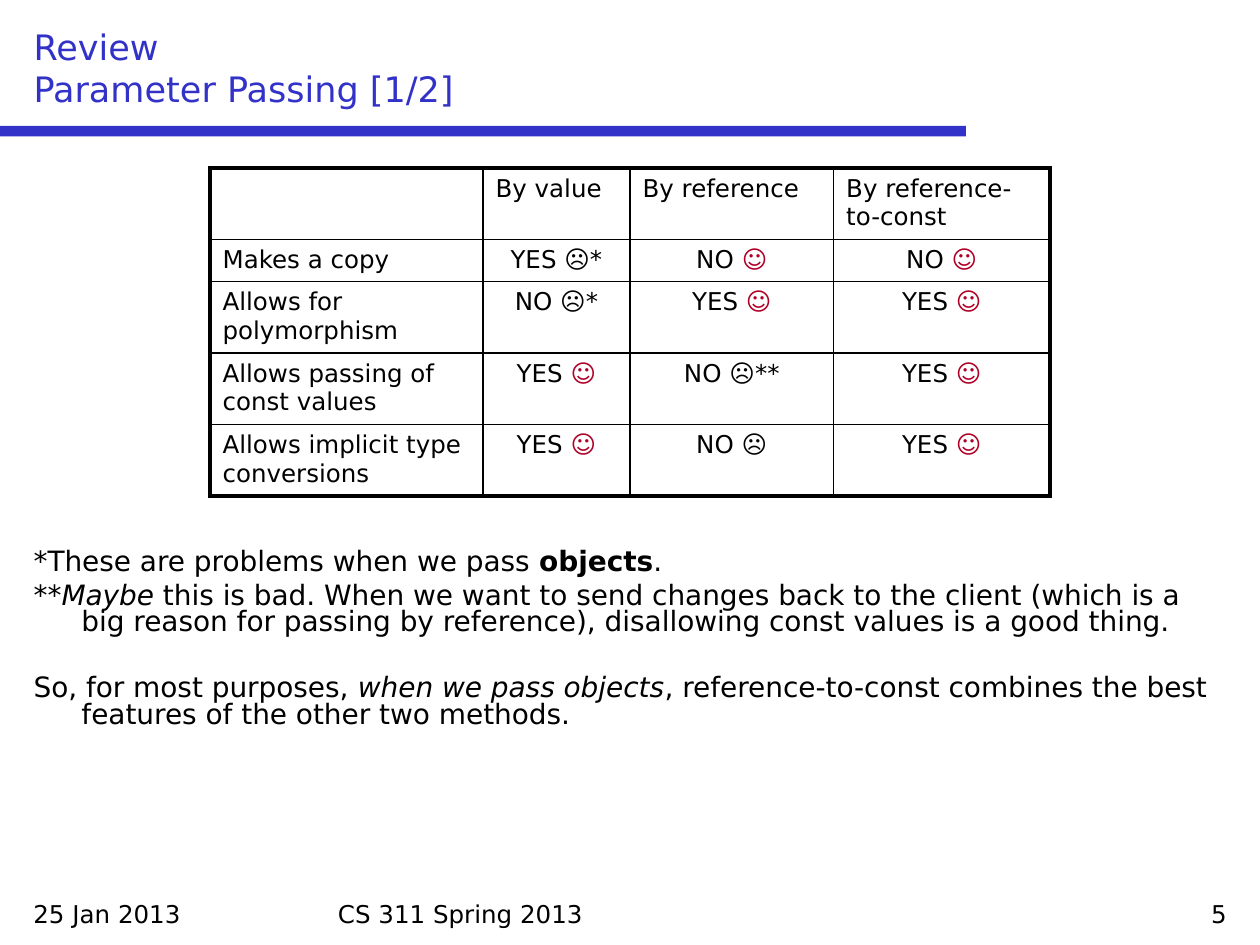
from lxml import etree
from pptx import Presentation
from pptx import util as u
from pptx.dml.color import RGBColor
from pptx.enum import shapes, text
from pptx.oxml import ns

BLACK = RGBColor(0x00, 0x00, 0x00)
BLUE = RGBColor(0x32, 0x32, 0xC8)
RED = RGBColor(0xAF, 0x00, 0x28)
FONT = "DejaVu Sans"
ALIGN = text.PP_ALIGN

deck = Presentation()
deck.slide_width, deck.slide_height = u.Inches(10), u.Inches(7.5)
UNIT = deck.slide_width / 60  # the slide is a grid of 60 columns and 45 rows
slide = deck.slides.add_slide(deck.slide_layouts[1])


def grid(*units):
    return [round(n * UNIT) for n in units]


def write(paragraph, content, size, color=BLACK, **style):
    run = paragraph.add_run()
    run.text = content
    formats = {"name": FONT, "size": u.Pt(size), "bold": False, "italic": False, **style}
    for key, value in formats.items():
        setattr(run.font, key, value)
    run.font.color.rgb = color


# Rule under the title
rule = slide.shapes.add_shape(shapes.MSO_SHAPE.RECTANGLE, *grid(0, 6, 46, 0.5))
rule.shadow.inherit = False
rule.fill.solid()
rule.fill.fore_color.rgb = BLUE
rule.line.fill.background()

# Footer: date, course, slide number
for left, width, content, align in [
    (1, 14, "25 Jan 2013", ALIGN.LEFT),
    (15.5, 29, "CS 311 Spring 2013", ALIGN.LEFT),
    (45, 14, "5", ALIGN.RIGHT),
]:
    footer = slide.shapes.add_textbox(*grid(left, 42.5, width, 2)).text_frame
    footer.word_wrap = True
    footer.paragraphs[0].alignment = align
    write(footer.paragraphs[0], content, 14)

# Title and body placeholders
title, notes = slide.shapes.title, slide.placeholders[1]
for holder, box, anchor in [
    (title, (1, 1, 58, 4.5), text.MSO_ANCHOR.BOTTOM),
    (notes, (1, 25.9, 58, 16.1), text.MSO_ANCHOR.TOP),
]:
    holder.left, holder.top, holder.width, holder.height = grid(*box)
    holder.text_frame.auto_size = text.MSO_AUTO_SIZE.NONE
    holder.text_frame.vertical_anchor = anchor

heading = title.text_frame.paragraphs[0]
heading.alignment = ALIGN.LEFT
for line_number, line in enumerate(["Review", "Parameter Passing [1/2]"]):
    if line_number:
        heading.add_line_break()
    write(heading, line, 20, BLUE)

# Remarks: space before in points, then runs with their style
remarks = [
    (0, [("*These are problems when we pass ", {}), ("objects", {"bold": True}), (".", {})]),
    (3.7, [
        ("**", {}),
        ("Maybe", {"italic": True}),
        (" this is bad. When we want to send changes back to the client (which is a big "
         "reason for passing by reference), disallowing const values is a good thing.", {}),
    ]),
    (22.3, [
        ("So, for most purposes, ", {}),
        ("when we pass objects", {"italic": True}),
        (", reference-to-const combines the best features of the other two methods.", {}),
    ]),
]
for number, (gap, runs) in enumerate(remarks):
    frame = notes.text_frame
    remark = frame.add_paragraph() if number else frame.paragraphs[0]
    remark.line_spacing = 0.8
    remark.space_before = u.Pt(gap)
    props = remark._p.get_or_add_pPr()
    props.set("marL", str(u.Inches(0.38)))
    props.set("indent", str(-u.Inches(0.38)))
    etree.SubElement(props, ns.qn("a:buNone"))
    for content, style in runs:
        write(remark, content, 16, **style)

# Comparison table
comparison = [
    ["", "By value", "By reference", "By reference-to-const"],
    ["Makes a copy", "YES ☹*", "NO ☺", "NO ☺"],
    ["Allows for polymorphism", "NO ☹*", "YES ☺", "YES ☺"],
    ["Allows passing of const values", "YES ☺", "NO ☹**", "YES ☺"],
    ["Allows implicit type conversions", "YES ☺", "NO ☹", "YES ☺"],
]
column_units = [13, 7, 9.7, 10.3]
row_units = [3.4, 2, 3.4, 3.4, 3.4]
last_row, last_col = len(row_units) - 1, len(column_units) - 1
table = slide.shapes.add_table(
    len(row_units), len(column_units), *grid(10, 8, sum(column_units), sum(row_units))
).table
table.first_row = table.horz_banding = False
for column, width in zip(table.columns, grid(*column_units)):
    column.width = width
for row, height in zip(table.rows, grid(*row_units)):
    row.height = height

for r, row in enumerate(comparison):
    for c, content in enumerate(row):
        cell = table.cell(r, c)
        # Thick outer frame, thin inner lines
        outer = {"lnL": c == 0, "lnR": c == last_col, "lnT": r == 0, "lnB": r == last_row}
        for side, thick in outer.items():
            border = etree.SubElement(cell._tc.get_or_add_tcPr(), ns.qn("a:" + side))
            border.set("w", str(u.Pt(2.25 if thick else 1)))
            fill = etree.SubElement(border, ns.qn("a:solidFill"))
            etree.SubElement(fill, ns.qn("a:srgbClr")).set("val", str(BLACK))
        cell.fill.background()
        entry = cell.text_frame.paragraphs[0]
        entry.alignment = ALIGN.CENTER if r and c else ALIGN.LEFT
        answer, smile, _ = content.partition("☺")
        for piece, color in [(answer, BLACK), (smile, RED)]:
            if piece:
                write(entry, piece, 14, color)

deck.save("out.pptx")
